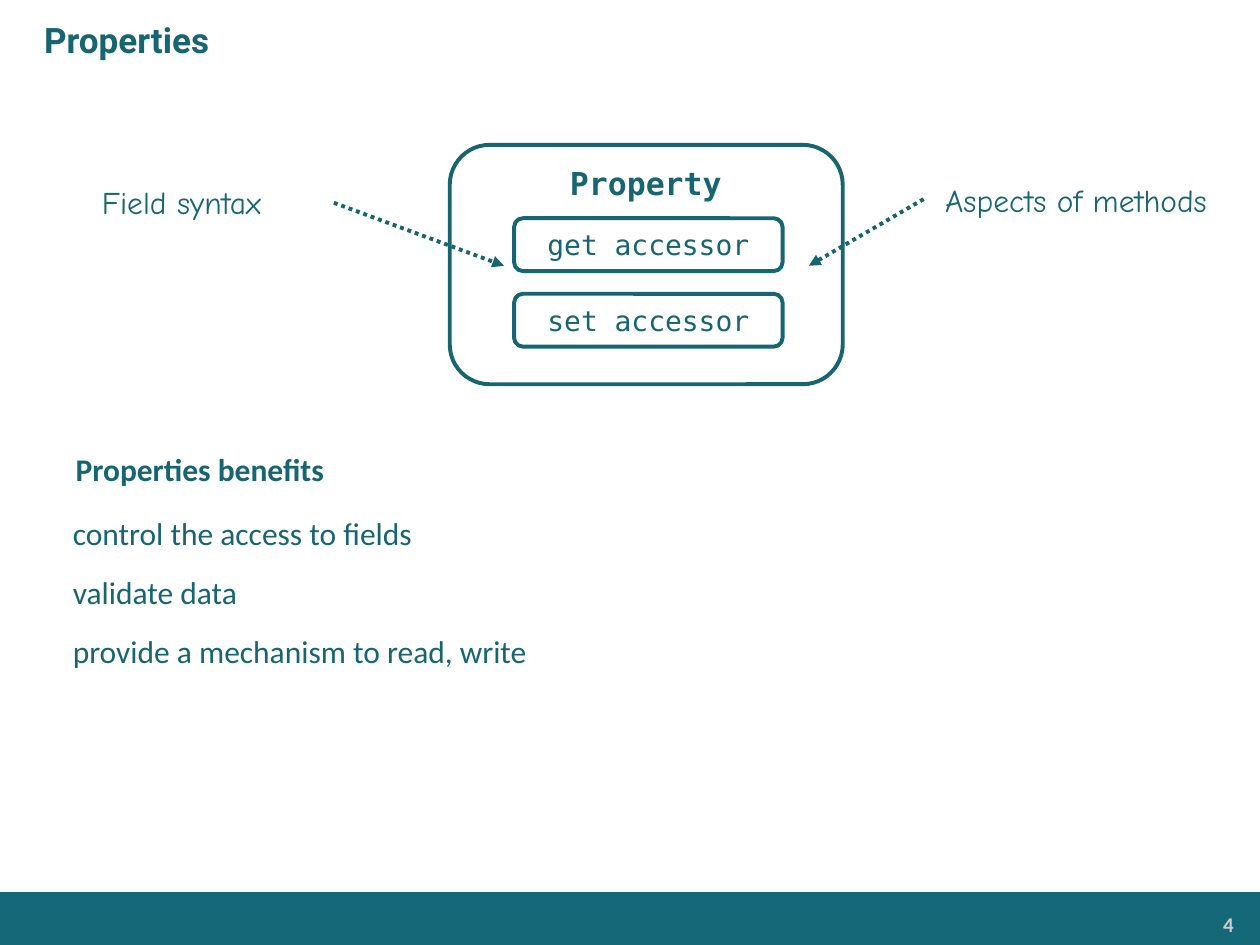
from lxml import etree
from pptx import Presentation
from pptx.dml.color import RGBColor
from pptx.enum.dml import MSO_LINE
from pptx.enum.shapes import MSO_CONNECTOR, MSO_SHAPE
from pptx.enum.text import MSO_ANCHOR, PP_ALIGN
from pptx.oxml.ns import qn
from pptx.util import Pt

RECTANGLE, ROUNDED = MSO_SHAPE.RECTANGLE, MSO_SHAPE.ROUNDED_RECTANGLE
STRAIGHT, DOTTED = MSO_CONNECTOR.STRAIGHT, MSO_LINE.ROUND_DOT
TOP, MIDDLE = MSO_ANCHOR.TOP, MSO_ANCHOR.MIDDLE
LEFT, CENTER, RIGHT = PP_ALIGN.LEFT, PP_ALIGN.CENTER, PP_ALIGN.RIGHT
JUSTIFY = PP_ALIGN.JUSTIFY

TEAL, FOOTER_FILL, PAGE_GRAY = "176571", "146878", "CCCCCC"
BODY, MONO, HAND, HEADING = "Calibri", "DejaVu Sans Mono", "Comic Neue", "Roboto"
LINE_WIDTH = 2.25


def color(hex_string):
    return RGBColor.from_string(hex_string)


def set_text(shape, text, font_name, size, bold=False, font_color=TEAL,
             align=LEFT, anchor=MIDDLE, insets=(0, 0, 0, 0)):
    frame = shape.text_frame
    left, top, right, bottom = (Pt(inset) for inset in insets)
    frame_format = {
        "word_wrap": True, "vertical_anchor": anchor,
        "margin_left": left, "margin_top": top,
        "margin_right": right, "margin_bottom": bottom,
    }
    for name, value in frame_format.items():
        setattr(frame, name, value)
    paragraph = frame.paragraphs[0]
    paragraph.alignment = align
    run = paragraph.add_run()
    run.text = text
    font_format = {"name": font_name, "size": Pt(size), "bold": bold}
    for name, value in font_format.items():
        setattr(run.font, name, value)
    run.font.color.rgb = color(font_color)


def add_text(slide, box, text, font_name, size, **text_format):
    shape = slide.shapes.add_textbox(*map(Pt, box))
    set_text(shape, text, font_name, size, **text_format)


def add_box(slide, kind, box, fill=None, line=None):
    shape = slide.shapes.add_shape(kind, *map(Pt, box))
    shape.shadow.inherit = False
    if fill:
        shape.fill.solid()
        shape.fill.fore_color.rgb = color(fill)
    else:
        shape.fill.background()
    if line:
        shape.line.color.rgb = color(line)
        shape.line.width = Pt(LINE_WIDTH)
    else:
        shape.line.fill.background()
    return shape


def add_dotted_arrow(slide, start, end):
    connector = slide.shapes.add_connector(STRAIGHT, *map(Pt, start + end))
    line = connector.line
    line.color.rgb = color(TEAL)
    line.width = Pt(LINE_WIDTH)
    line.dash_style = DOTTED
    properties = connector._element.spPr
    outline = properties.find(qn("a:ln"))
    etree.SubElement(outline, qn("a:tailEnd"), type="triangle")
    etree.SubElement(properties, qn("a:effectLst"))


def add_footer(slide):
    add_box(slide, RECTANGLE, (0, 509.8, 720, 30.2), fill=FOOTER_FILL)
    add_text(slide, (592.6, 517.7, 117.4, 20.2), "4", BODY, 12, bold=True,
             font_color=PAGE_GRAY, align=RIGHT, anchor=TOP, insets=(5, 3, 5, 3))


def add_property_diagram(slide):
    add_box(slide, ROUNDED, (257, 82.8, 224.6, 136.8), line=TEAL)
    add_text(slide, (288, 90, 162, 48), "Property", MONO, 18, bold=True,
             align=CENTER, anchor=TOP, insets=(3.6, 3.6, 3.6, 3.6))
    for index, accessor in enumerate(("get accessor", "set accessor")):
        box = (293.8, 124.7 + 43.2 * index, 153.4, 30.2)
        shape = add_box(slide, ROUNDED, box, line=TEAL)
        set_text(shape, accessor, MONO, 16, align=CENTER)

    # Side labels with arrows pointing into the property
    callouts = (
        ("Field syntax", (16.6, 85.7), (190.8, 115.9), (288, 151.9)),
        ("Aspects of methods", (527.8, 84.2), (527.8, 113.8), (462.2, 151.9)),
    )
    for text, corner, start, end in callouts:
        add_text(slide, corner + (174.2, 59.8), text, HAND, 18, align=CENTER)
        add_dotted_arrow(slide, start, end)


def add_benefits(slide):
    width, height = 391, 21.6
    add_text(slide, (43.2, 257, width, height), "Properties benefits",
             BODY, 18, bold=True)
    benefits = ("control the access to fields", "validate data",
                "provide a mechanism to read, write")
    for index, benefit in enumerate(benefits):
        add_text(slide, (41.6, 293.8 + 33.8 * index, width, height), benefit,
                 BODY, 18, align=JUSTIFY)


def main():
    presentation = Presentation()
    presentation.slide_width, presentation.slide_height = Pt(720), Pt(540)
    slide = presentation.slides.add_slide(presentation.slide_layouts[6])

    # Page frame
    add_footer(slide)
    add_text(slide, (0, 0, 720, 45.4), "Properties", HEADING, 20, bold=True,
             insets=(25.2, 3.6, 7.2, 3.6))

    # Content
    add_property_diagram(slide)
    add_benefits(slide)
    presentation.save("out.pptx")


main()
